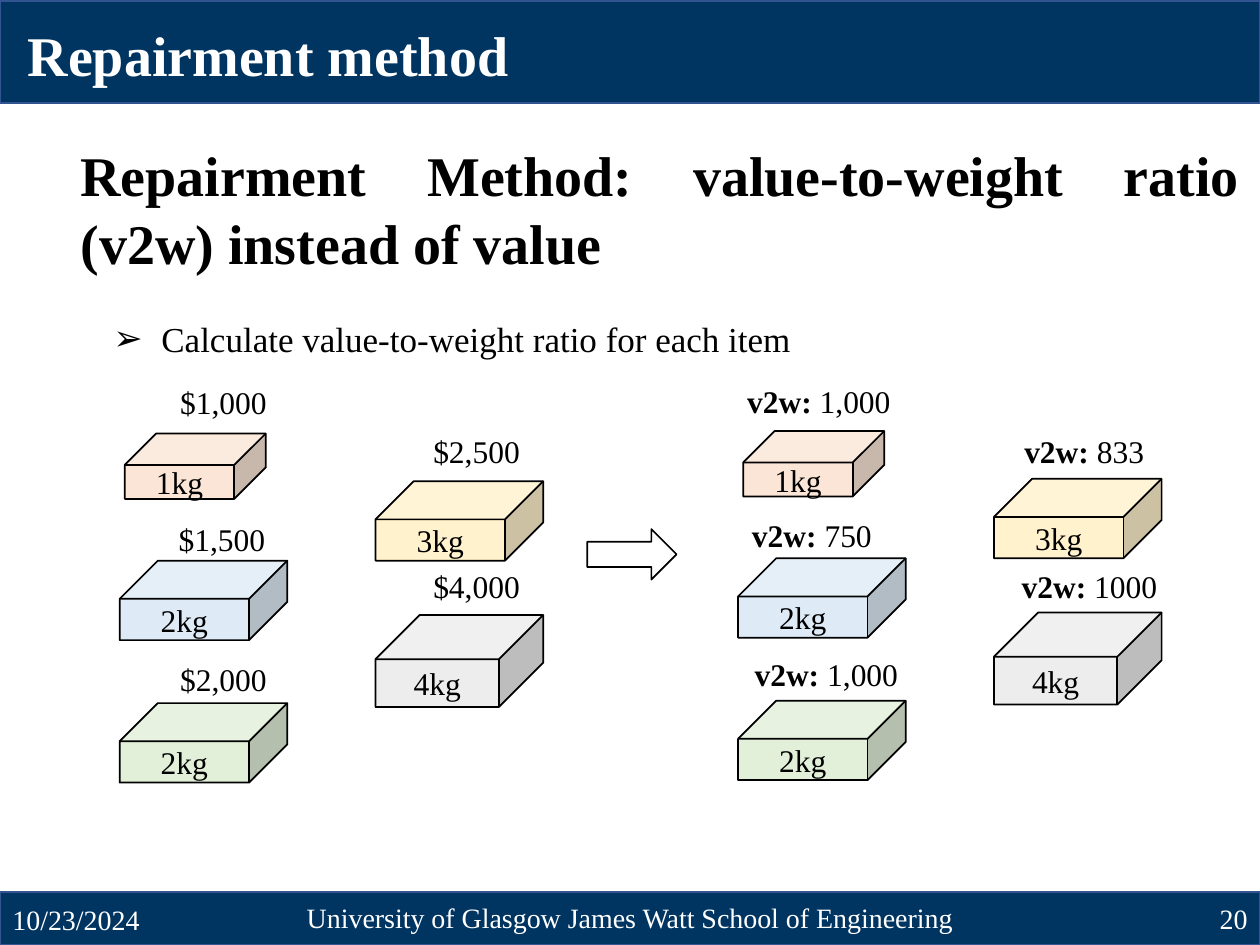
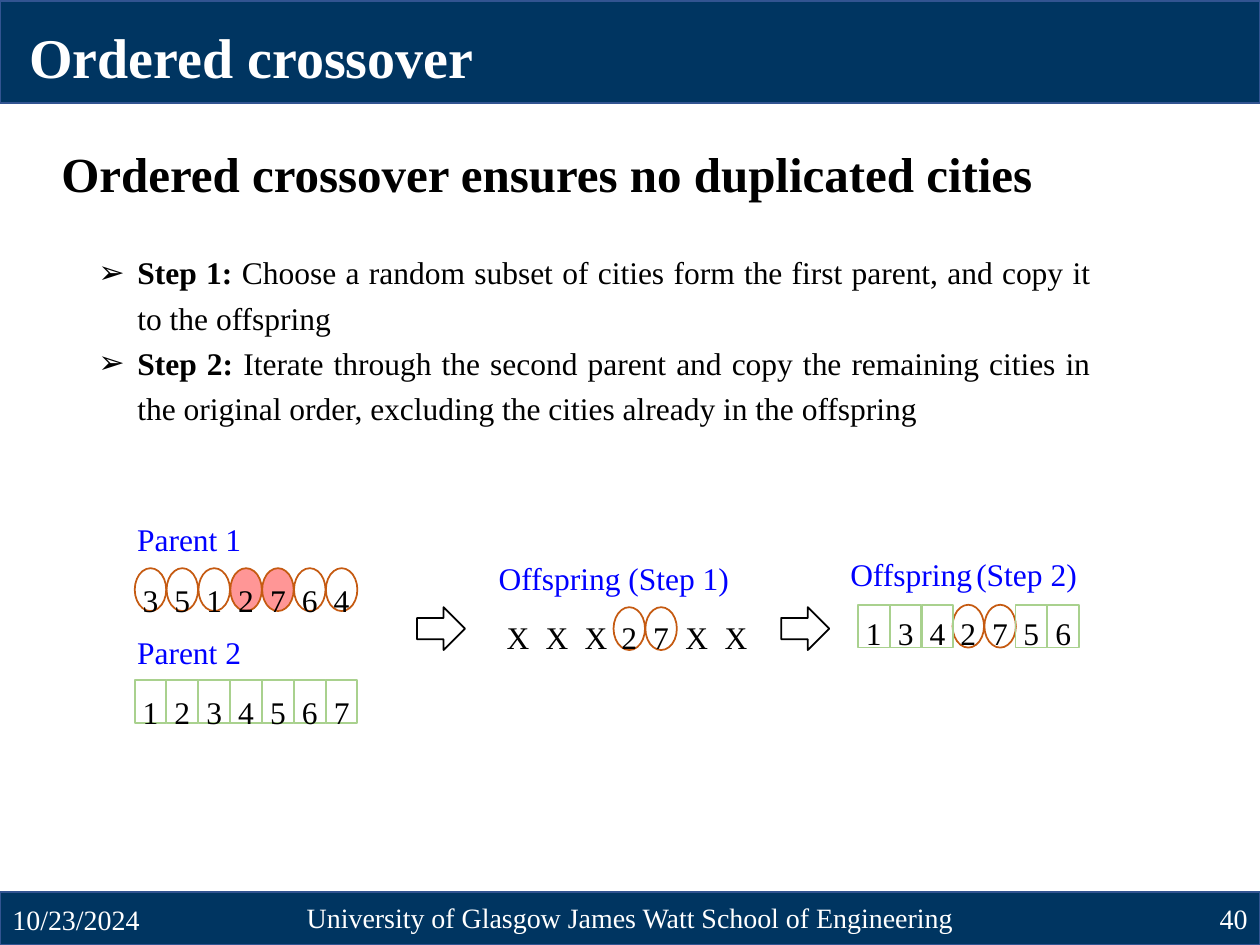
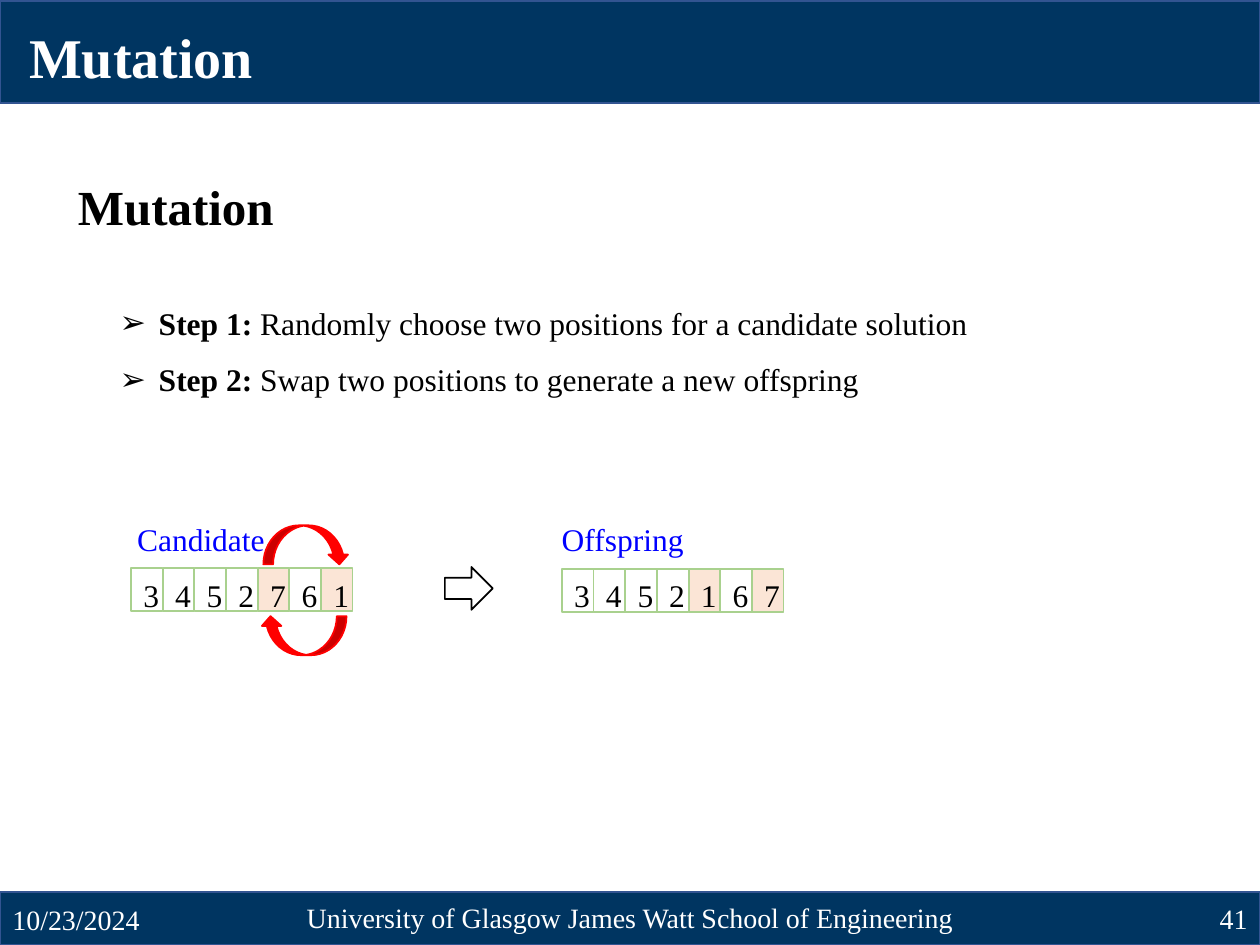
"""Build three lecture slides on repair, crossover and mutation."""
from lxml import etree
from pptx import Presentation
from pptx.dml.color import RGBColor
from pptx.enum.shapes import MSO_SHAPE
from pptx.enum.text import MSO_ANCHOR, MSO_AUTO_SIZE, PP_ALIGN
from pptx.oxml.ns import qn
from pptx.util import Pt

RECT, OVAL, CUBE = MSO_SHAPE.RECTANGLE, MSO_SHAPE.OVAL, MSO_SHAPE.CUBE
ARROW, CURVE = MSO_SHAPE.RIGHT_ARROW, MSO_SHAPE.CURVED_DOWN_ARROW
LEFT, MID, RIGHT, BOTH = PP_ALIGN.LEFT, PP_ALIGN.CENTER, PP_ALIGN.RIGHT, PP_ALIGN.JUSTIFY
TOP, CENTRE = MSO_ANCHOR.TOP, MSO_ANCHOR.MIDDLE
FIXED = MSO_AUTO_SIZE.NONE

FONT = "Times New Roman"
NAVY = RGBColor(0x00, 0x35, 0x61)
EDGE = RGBColor(0x32, 0x54, 0x91)
WHITE = RGBColor(0xFF, 0xFF, 0xFF)
BLACK = RGBColor(0x00, 0x00, 0x00)
BLUE = RGBColor(0x00, 0x00, 0xFF)
RED = RGBColor(0xFF, 0x00, 0x00)
RUST = RGBColor(0xC5, 0x5A, 0x11)
LEAF = RGBColor(0xA9, 0xD1, 0x8E)
PEACH = RGBColor(0xFB, 0xE5, 0xD6)
SKY = RGBColor(0xDE, 0xEB, 0xF7)
MINT = RGBColor(0xE2, 0xF0, 0xD9)
CREAM = RGBColor(0xFF, 0xF2, 0xCC)
GREY = RGBColor(0xED, 0xED, 0xED)

CELL_W, CELL_H = 18, 24.5
DATE = "10/23/2024"
SCHOOL = "University of Glasgow James Watt School of Engineering"


class Deck:
    """Hold the shared style and the current slide."""

    def __init__(self):
        self.prs = Presentation()
        self.prs.slide_width, self.prs.slide_height = Pt(720), Pt(540)
        self.layout = self.prs.slide_layouts[1]
        for spot in list(self.layout.placeholders):
            if spot.placeholder_format.idx >= 10:
                spot.element.getparent().remove(spot.element)
        self.slide = None

    def bands(self):
        """Move the two bands to the layout, behind its placeholders."""
        for top, high in ((0.7, 58.3), (509.8, 30.2)):
            band = self.shape(RECT, (0, top, 720, high), NAVY, EDGE)
            self.layout.shapes.element.insert(2, band.element)

    def start(self, title, number, left=9.4, top=9.4):
        """Add a slide with its title and footer."""
        first = self.slide is None
        self.slide = self.prs.slides.add_slide(self.layout)
        if first:
            self.bands()
        head = self.slide.shapes.title
        self.place(head, (left, top, 680, 46))
        self.set_lines(head.text_frame, [(title, "")], 32, WHITE)
        for text, box, align in ((DATE, (0, 511.2, 162, 28.8), LEFT),
                                 (SCHOOL, (162, 509.8, 396, 28.8), MID),
                                 (str(number), (558, 510.5, 162, 28.8), RIGHT)):
            self.text(box, ("", text), 16, WHITE, align, CENTRE)

    def place(self, shape, box):
        """Set the position and size of a shape."""
        shape.left, shape.top, shape.width, shape.height = map(Pt, box)

    def set_lines(self, frame, lines, size=18, color=BLACK, align=LEFT, anchor=TOP,
                  space=1.0, before=0):
        """Fill a frame with lines, each a bold part and a plain part."""
        frame.word_wrap, frame.auto_size = True, FIXED
        frame.vertical_anchor = anchor
        for i, parts in enumerate(lines):
            para = frame.add_paragraph() if i else frame.paragraphs[0]
            para.alignment, para.line_spacing = align, space
            para.space_before = Pt(before)
            for bold, part in zip((True, False), parts):
                if part:
                    run = para.add_run()
                    run.text = part
                    run.font.name, run.font.size = FONT, Pt(size)
                    run.font.bold, run.font.color.rgb = bold, color

    def text(self, box, parts, size=18, color=BLACK, align=LEFT, anchor=TOP, space=1.0):
        """Add a text box with one line."""
        frame = self.slide.shapes.add_textbox(*map(Pt, box)).text_frame
        self.set_lines(frame, [parts], size, color, align, anchor, space)

    def label(self, left, top, text):
        """Add a blue caption."""
        self.text((left, top, 161, 36), ("", text), color=BLUE, space=1.5)

    def bullets(self, box, lines, size=18, indent=22.3, space=1.5, before=0, align=BOTH):
        """Fill the body placeholder with an arrowed list."""
        body = self.slide.placeholders[1]
        self.place(body, box)
        self.set_lines(body.text_frame, lines, size, align=align, space=space, before=before)
        for para in body.text_frame.paragraphs:
            props = para._p.get_or_add_pPr()
            props.set("marL", str(Pt(indent)))
            props.set("indent", str(-Pt(indent)))
            etree.SubElement(props, qn("a:buChar")).set("char", "➢")

    def shape(self, kind, box, fill=None, line=BLACK, alpha=None):
        """Add a preset shape."""
        shape = self.slide.shapes.add_shape(kind, *map(Pt, box))
        shape.shadow.inherit = False
        if fill is None:
            shape.fill.background()
        else:
            shape.fill.solid()
            shape.fill.fore_color.rgb = fill
        if alpha:
            tone = shape.element.spPr.find(".//" + qn("a:srgbClr"))
            etree.SubElement(tone, qn("a:alpha")).set("val", str(alpha * 1000))
        if line is None:
            shape.line.fill.background()
        else:
            shape.line.color.rgb = line
            shape.line.width = Pt(1)
        return shape

    def cube(self, box, fill, text):
        """Add a labelled block."""
        cube = self.shape(CUBE, box, fill)
        cube.adjustments[0] = 0.481
        self.set_lines(cube.text_frame, [("", text)], align=MID, anchor=CENTRE)

    def row(self, left, top, genes, kind=RECT, line=LEAF, step=18.2, drop=5, shift=0,
            marks=(), fill=None, alpha=None):
        """Add a row of gene cells and fill the marked ones."""
        inset = drop - 1.3 if kind == OVAL else drop + 2.2
        for i, gene in enumerate(genes):
            box = (left + i * step, top, CELL_W, CELL_H)
            tint = fill if i in marks else None
            frame = self.shape(kind, box, tint, line, alpha if tint else None).text_frame
            frame.margin_left, frame.margin_top = Pt(2 * shift), Pt(inset)
            frame.margin_right = frame.margin_bottom = 0
            self.set_lines(frame, [("", gene)], align=MID)


def repair(deck):
    """Build the slide on the repair method."""
    deck.start("Repairment method", 20, 8.6, 8)
    deck.text((38.9, 77, 677, 85),
              ("Repairment Method: value-to-weight ratio (v2w) instead of value", ""),
              32, align=BOTH)
    deck.bullets((57.6, 165.6, 555, 40),
                 [("", "Calculate value-to-weight ratio for each item")],
                 20, 27.4, before=6, align=LEFT)
    wide, tall = 95.8, 45.4
    items = (
        ((68.4, 320.4, wide, tall), SKY, "2kg", "$1,500", (95, 293.8), "750", (422.6, 291.6)),
        ((71.3, 247.7, 80.6, 37.4), PEACH, "1kg", "$1,000", (95.8, 215.3), "1,000", (419.8, 214.6)),
        ((68.4, 401.8, wide, tall), MINT, "2kg", "$2,000", (95.8, 373.7), "1,000", (424.1, 370.8)),
        ((214.6, 275, wide, tall), CREAM, "3kg", "$2,500", (240.5, 243.4), "833", (578.2, 243.4)),
        ((214.6, 351.4, wide, 52.6), GREY, "4kg", "$4,000", (240.5, 320.4), "1000", (576.7, 320.4)),
    )
    for (left, top, width, height), fill, mass, price, spot, ratio, goal in items:
        deck.cube((left, top, width, height), fill, mass)
        deck.cube((left + 353.4, top - 1.4, width, height), fill, mass)
        deck.text((*spot, 70, 28.8), ("", price))
        deck.text((*goal, 106, 28.8), ("v2w:", " " + ratio))
    deck.shape(ARROW, (335.5, 302.4, 51.1, 28.8))


def cross(deck):
    """Build the slide on ordered crossover."""
    deck.start("Ordered crossover", 40)
    deck.text((28, 72, 611, 44.6), ("Ordered crossover ensures no duplicated cities", ""),
              28, space=1.2)
    deck.bullets((49, 136.8, 581.8, 110), [
        ("Step 1: ", "Choose a random subset of cities form the first parent, "
                     "and copy it to the offspring"),
        ("Step 2: ", "Iterate through the second parent and copy the remaining cities in "
                     "the original order, excluding the cities already in the offspring"),
    ], space=1.2)
    for left, top, text in ((71.3, 283, "Parent 1"), (71.3, 347.6, "Parent 2"),
                            (277.9, 305.3, "Offspring (Step 1)"),
                            (478.8, 303.1, "Offspring\t(Step 2)")):
        deck.label(left, top, text)
    deck.row(77, 324.7, "3512764", OVAL, RUST, marks=(3, 4), fill=RED, alpha=41)
    deck.row(77, 388.8, "1234567")
    for left, genes in ((287, "XXX"), (389.2, "XX")):
        deck.row(left, 347, genes, line=None, step=22.3, drop=4)
    deck.row(350.6, 347, "27", OVAL, RUST, drop=4)
    deck.row(544.3, 345.6, "27", OVAL, RUST, drop=3)
    for left, genes in ((490.3, "134"), (580.3, "56")):
        deck.row(left, 345.6, genes, drop=3)
    for left in (238.3, 446.4):
        deck.shape(ARROW, (left, 347, 27.4, CELL_H))


def mutate(deck):
    """Build the slide on mutation."""
    deck.start("Mutation", 41)
    deck.text((37.4, 90.7, 611, 44.6), ("Mutation", ""), 28, space=1.2)
    deck.bullets((61.2, 159.1, 581.8, 69), [
        ("Step 1: ", "Randomly choose two positions for a candidate solution"),
        ("Step 2: ", "Swap two positions to generate a new offspring"),
    ])
    for left, start, top, text, genes in ((71.3, 74.9, 324.7, "Candidate", "3452761"),
                                          (313.9, 321.1, 325.1, "Offspring", "3452167")):
        deck.label(left, 283, text)
        deck.row(start, top, genes, step=18.1, drop=2, shift=2.5, marks=(4, 6), fill=PEACH)
    deck.shape(ARROW, (254.2, 324, 27.4, CELL_H))
    for left, top, turn in ((150.5, 300.2, 0), (149, 352.1, 180)):
        deck.shape(CURVE, (left, top, 49, 22.3), RED, RED).rotation = turn


def main():
    """Build and save the deck."""
    deck = Deck()
    for build in (repair, cross, mutate):
        build(deck)
    deck.prs.save("out.pptx")


if __name__ == "__main__":
    main()
